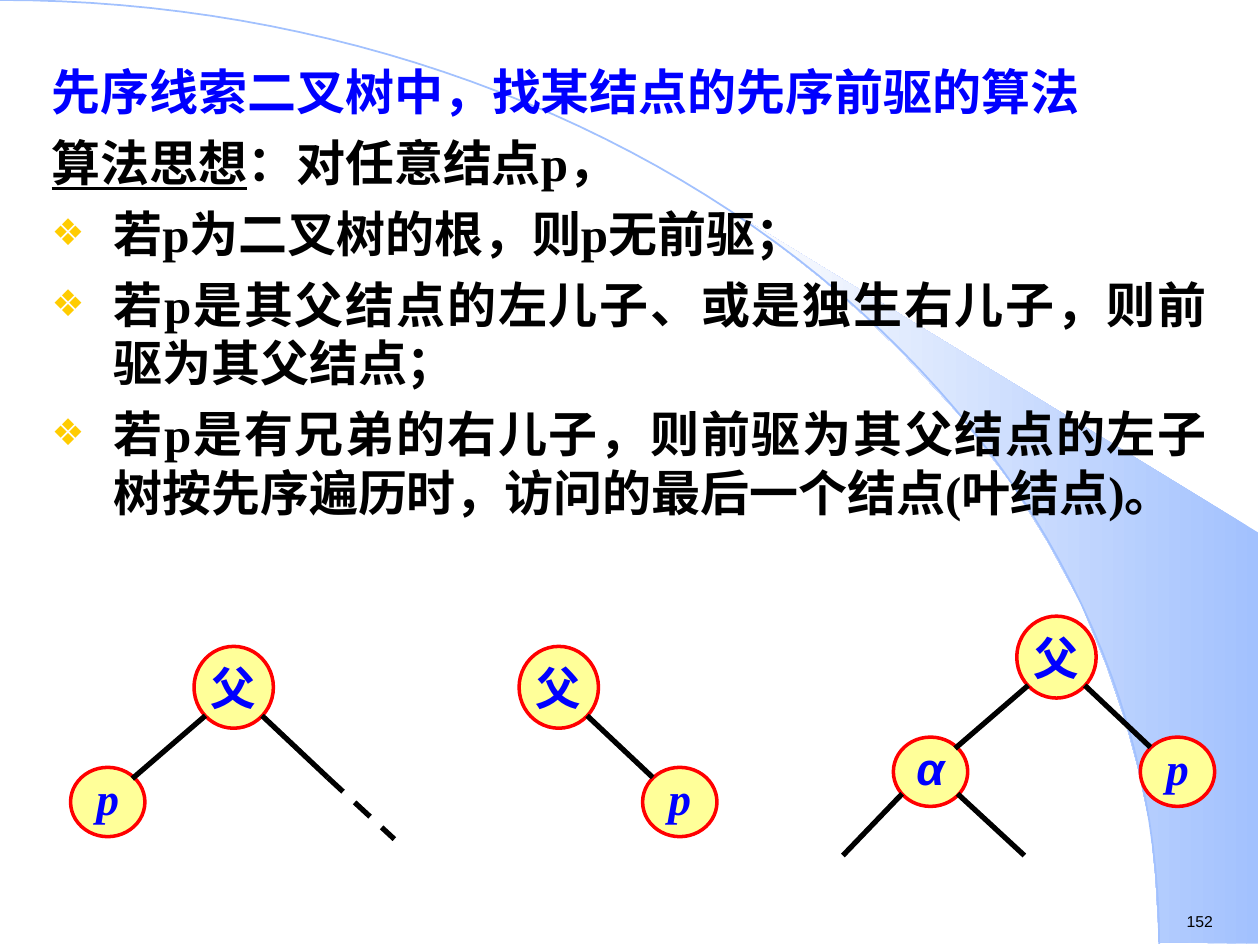
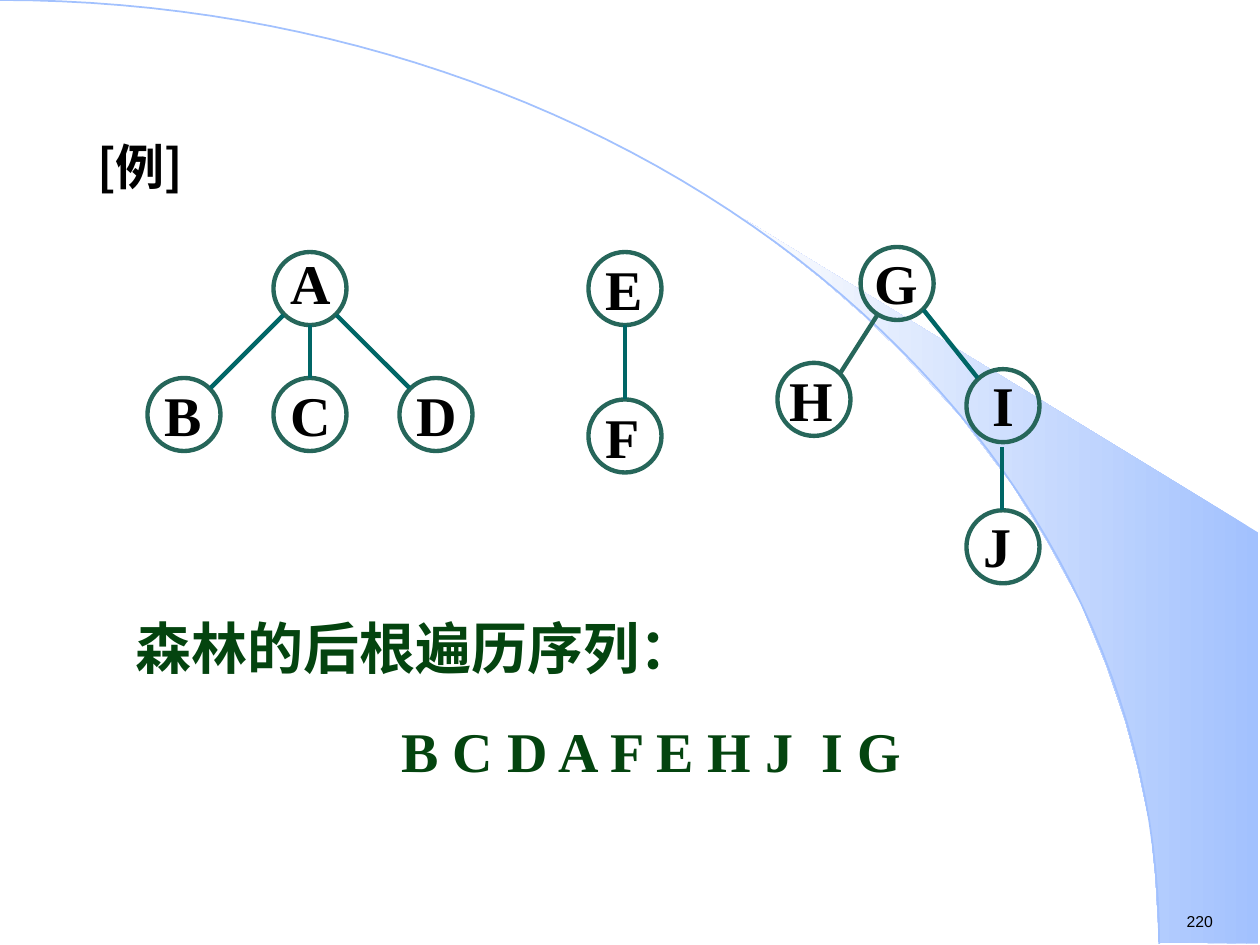
from dataclasses import dataclass
from math import cos, pi, sin

from lxml.etree import SubElement
from pptx import Presentation
from pptx.dml.color import RGBColor
from pptx.enum.dml import MSO_LINE
from pptx.enum.shapes import MSO_CONNECTOR, MSO_SHAPE
from pptx.enum.text import MSO_ANCHOR, MSO_AUTO_SIZE, PP_ALIGN
from pptx.oxml.ns import qn
from pptx.util import Inches, Pt

SERIF, SANS, CJK = "Times New Roman", "Arial", "Noto Sans CJK SC"
BLACK, BLUE, RED, YELLOW = "000000", "0000FF", "FF0000", "FFFF99"
GOLD, SKY, PALE = "FFCC00", "A2C1FE", "FEFEFE"
RING, TEAL, GREEN = "26665A", "006666", "04440F"
BODY_LINE = Pt(33.5)
ARC_RX, ARC_RY = 9.2, 7.49
ARC_STEPS = 60
SWEEP = [
    (9.2, 7.48), (9.99, 7.49), (9.99, 4.23), (5.89, 1.73), (6.24, 1.99), (6.53, 2.22),
    (6.85, 2.5), (7.16, 2.8), (7.62, 3.3), (8.03, 3.84), (8.32, 4.31), (8.58, 4.79),
    (8.78, 5.28), (8.93, 5.72), (9.03, 6.09), (9.13, 6.56), (9.17, 6.96),
]


@dataclass
class Edge:
    x1: float
    y1: float
    x2: float
    y2: float
    color: str = BLACK
    width: float = 3
    dashed: bool = False


@dataclass
class Tree:
    x: float
    y: float
    left: str = ""
    right: str = ""


@dataclass
class Letter:
    text: str
    x: float
    y: float
    dx: float = 0.04
    dy: float = -0.08
    spacing: float = 1.1


TREES = [Tree(1.54, 5.13, left="p"), Tree(4.12, 5.13, right="p"), Tree(8.07, 4.89, "α", "p")]
LOOSE_BRANCHES = [
    Edge(2.08, 5.68, 2.6, 6.17),
    Edge(2.6, 6.17, 3.13, 6.66, dashed=True),
    Edge(7.16, 6.3, 6.69, 6.79),
    Edge(7.6, 6.3, 8.13, 6.79),
]
RULES = [
    "若p为二叉树的根，则p无前驱；",
    "若p是其父结点的左儿子、或是独生右儿子，则前驱为其父结点；",
    "若p是有兄弟的右儿子，则前驱为其父结点的左子树按先序遍历时，访问的最后一个结点(叶结点)。",
]
FOREST = [
    Letter("A", 2.17, 2, spacing=1),
    *(Letter(text, 1.17 + i, 3) for i, text in enumerate("BCD")),
    Letter("E", 4.67, 2),
    Letter("F", 4.67, 3.17),
    Letter("G", 6.83, 1.96, dx=0.01, dy=-0.04, spacing=1),
    Letter("H", 6.17, 2.88, dx=0),
    Letter("I", 7.67, 2.93, dx=0.11, dy=-0.09),
    Letter("J", 7.67, 4.05, dy=-0.09),
]
FOREST_EDGES = [
    Edge(2.46, 2.58, 2.46, 3, TEAL, 2.5),
    Edge(2.25, 2.5, 1.67, 3.08, TEAL, 2.5),
    Edge(2.67, 2.5, 3.25, 3.08, TEAL, 2.5),
    Edge(4.96, 2.58, 4.96, 3.17, TEAL, 2.5),
    Edge(6.97, 2.49, 6.67, 2.96, RING, 2.5),
    Edge(7.33, 2.46, 7.76, 3, TEAL, 2.5),
    Edge(7.95, 3.55, 7.95, 4.05, TEAL, 2.5),
]


def rgb(color: str) -> RGBColor:
    return RGBColor.from_string(color)


def style(paragraph, size: float, color: str, face: str = SERIF, bold: bool = True, italic: bool = False) -> None:
    font = paragraph.font
    font.size, font.name, font.bold, font.italic = Pt(size), face, bold, italic
    font.color.rgb = rgb(color)
    SubElement(paragraph._p.pPr.find(qn("a:defRPr")), qn("a:ea"), typeface=CJK)


def set_bullet(paragraph, margin: float = 0, char: str = "") -> None:
    props = paragraph._p.get_or_add_pPr()
    props.set("marL", str(Inches(margin)))
    props.set("indent", str(-Inches(margin) if char else 0))
    if not char:
        SubElement(props, qn("a:buNone"))
        return
    SubElement(SubElement(props, qn("a:buClr")), qn("a:srgbClr"), val=GOLD)
    SubElement(props, qn("a:buSzPct"), val="75000")
    SubElement(props, qn("a:buChar"), char=char)


def add_text(slide, x: float, y: float, width: float, height: float):
    frame = slide.shapes.add_textbox(Inches(x), Inches(y), Inches(width), Inches(height)).text_frame
    frame.word_wrap = True
    return frame


def add_outline(slide, points: list[tuple[float, float]], closed: bool):
    vertices = [(Inches(x), Inches(y)) for x, y in points]
    builder = slide.shapes.build_freeform(*vertices[0], scale=1.0)
    builder.add_line_segments(vertices[1:], close=closed)
    outline = builder.convert_to_shape()
    outline.shadow.inherit = False
    return outline


def add_backdrop(slide, number: str) -> None:
    sweep = add_outline(slide, SWEEP, True)
    sweep.line.fill.background()
    sweep.fill.gradient()
    sweep.fill.gradient_angle = 180
    for stop, color in zip(sweep.fill.gradient_stops, (SKY, PALE)):
        stop.color.rgb = rgb(color)
    angles = [pi / 2 * i / ARC_STEPS for i in range(ARC_STEPS + 1)]
    arc = add_outline(slide, [(ARC_RX * sin(a), ARC_RY * (1 - cos(a))) for a in angles], False)
    arc.fill.background()
    arc.line.color.rgb = rgb(SKY)
    arc.line.width = Pt(1)
    page = add_text(slide, 9.32, 7.19, 0.67, 0.25).paragraphs[0]
    page.text = number
    style(page, 9, BLACK, SANS, bold=False)


def add_edge(slide, edge: Edge) -> None:
    ends = (Inches(v) for v in (edge.x1, edge.y1, edge.x2, edge.y2))
    branch = slide.shapes.add_connector(MSO_CONNECTOR.STRAIGHT, *ends)
    branch.line.color.rgb = rgb(edge.color)
    branch.line.width = Pt(edge.width)
    if edge.dashed:
        branch.line.dash_style = MSO_LINE.DASH
    SubElement(branch._element.spPr, qn("a:effectLst"))


def add_circle(slide, x: float, y: float, width: float, height: float, outline: str, weight: float, fill: str = ""):
    circle = slide.shapes.add_shape(MSO_SHAPE.OVAL, Inches(x), Inches(y), Inches(width), Inches(height))
    circle.shadow.inherit = False
    circle.line.color.rgb = rgb(outline)
    circle.line.width = Pt(weight)
    if fill:
        circle.fill.solid()
        circle.fill.fore_color.rgb = rgb(fill)
    else:
        circle.fill.background()
    return circle


def add_tree_node(slide, text: str, x: float, y: float) -> None:
    is_parent = text == "父"
    width, height = (0.63, 0.65) if is_parent else (0.59, 0.55)
    frame = add_circle(slide, x, y, width, height, RED, 2, YELLOW).text_frame
    frame.margin_left = frame.margin_right = frame.margin_top = frame.margin_bottom = 0
    frame.vertical_anchor = MSO_ANCHOR.MIDDLE
    frame.word_wrap = False
    label = frame.paragraphs[0]
    label.text = text
    label.alignment = PP_ALIGN.CENTER
    if not is_parent:
        label.line_spacing = Pt(26)
    style(label, 26, BLUE, SANS if text == "α" else SERIF, italic=not is_parent)


def add_tree(slide, tree: Tree) -> None:
    x, y = tree.x, tree.y
    add_tree_node(slide, "父", x, y)
    if tree.left:
        add_tree_node(slide, tree.left, x - 0.98, y + 0.96)
        add_edge(slide, Edge(x + 0.09, y + 0.55, x - 0.49, y + 1.05))
    if tree.right:
        add_tree_node(slide, tree.right, x + 0.98, y + 0.96)
        add_edge(slide, Edge(x + 0.54, y + 0.55, x + 1.06, y + 1.04))


def add_letter(slide, letter: Letter) -> None:
    add_circle(slide, letter.x, letter.y, 0.58, 0.58, RING, 2.5)
    label = add_text(slide, letter.x + letter.dx, letter.y + letter.dy, 0.58, 0.69).paragraphs[0]
    label.text = letter.text
    label.line_spacing = letter.spacing
    style(label, 32, BLACK)


def new_slide(deck, number: str, x: float, y: float, width: float, height: float):
    slide = deck.slides.add_slide(deck.slide_layouts[1])
    title = slide.shapes.title._element
    title.getparent().remove(title)
    add_backdrop(slide, number)
    body = slide.placeholders[1]
    body.left, body.top, body.width, body.height = (Inches(v) for v in (x, y, width, height))
    body.text_frame.auto_size = MSO_AUTO_SIZE.NONE
    slide.shapes._spTree.append(body._element)
    return slide, body.text_frame


def build_predecessor(deck) -> None:
    slide, frame = new_slide(deck, "152", 0.31, 0.44, 9.37, 4.25)
    heading = frame.paragraphs[0]
    heading.text = "先序线索二叉树中，找某结点的先序前驱的算法"
    idea = frame.add_paragraph()
    term = idea.add_run()
    term.text = "算法思想"
    term.font.underline = True
    idea.add_run().text = "：对任意结点p，"
    for paragraph in (heading, idea):
        set_bullet(paragraph)
    for text in RULES:
        rule = frame.add_paragraph()
        rule.text = text
        rule.alignment = PP_ALIGN.JUSTIFY
        set_bullet(rule, 0.49, "❖")
    for paragraph in frame.paragraphs:
        paragraph.line_spacing = BODY_LINE
        paragraph.space_before = Pt(0 if paragraph._p is heading._p else 7)
        style(paragraph, 28, BLUE if paragraph._p is heading._p else BLACK)
    for tree in TREES:
        add_tree(slide, tree)
    for branch in LOOSE_BRANCHES:
        add_edge(slide, branch)


def build_forest(deck) -> None:
    slide, frame = new_slide(deck, "220", 0.47, 1.03, 9.1, 5.71)
    example = frame.paragraphs[0]
    example.text = "[例]"
    example.space_before = Pt(0)
    set_bullet(example, 0.2)
    style(example, 28, BLACK, CJK)
    for letter in FOREST:
        add_letter(slide, letter)
    for edge in FOREST_EDGES:
        add_edge(slide, edge)
    answer = add_text(slide, 0.98, 4.81, 7.67, 1.45)
    caption = answer.paragraphs[0]
    caption.text = "森林的后根遍历序列："
    order = answer.add_paragraph()
    order.text = "B C D A F E H J  I G"
    order.space_before = Pt(20)
    set_bullet(order, 2.11)
    for paragraph in (caption, order):
        paragraph.line_spacing = Pt(39)
        style(paragraph, 32, GREEN)


def main() -> None:
    deck = Presentation()
    deck.slide_width, deck.slide_height = Inches(10), Inches(7.5)
    build_predecessor(deck)
    build_forest(deck)
    deck.save("out.pptx")


if __name__ == "__main__":
    main()
